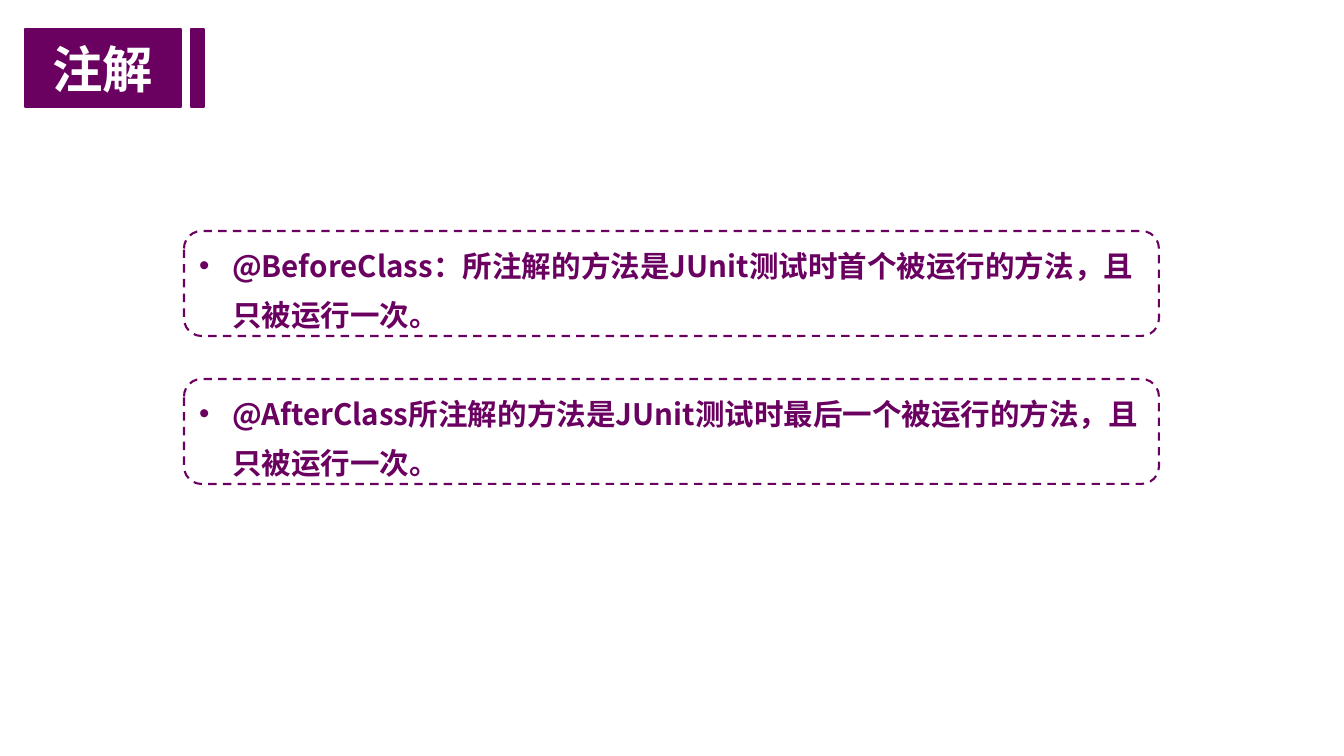
from lxml import etree
from pptx import Presentation
from pptx import util as u
from pptx.dml.color import RGBColor
from pptx.enum import dml, shapes, text
from pptx.oxml import ns

SCALE = 914400 / 100.8  # EMU per px
COLORS = {"purple": "6A0160", "white": "FFFFFF"}
CJK_FONT = "Noto Sans CJK SC"


def px(*lengths):
    return [u.Emu(round(length * SCALE)) for length in lengths]


def write(shape, content, *, size, font, color, align, insets, line_spacing=None, indent=None):
    frame = shape.text_frame
    frame.word_wrap = True
    frame.auto_size = text.MSO_AUTO_SIZE.NONE
    frame.vertical_anchor = text.MSO_ANCHOR.MIDDLE
    frame.margin_left, frame.margin_top, frame.margin_right, frame.margin_bottom = px(*insets)
    paragraph = frame.paragraphs[0]
    paragraph.alignment = align
    if line_spacing:
        paragraph.line_spacing = u.Pt(line_spacing)
    run = paragraph.add_run()
    run.text = content
    run.font.size = u.Pt(size)
    run.font.bold = True
    run.font.name = font
    run.font.color.rgb = RGBColor.from_string(COLORS[color])
    east_asian = etree.SubElement(run.font._element, ns.qn("a:ea"))
    east_asian.set("typeface", CJK_FONT)
    if indent:
        properties = paragraph._p.get_or_add_pPr()
        hanging = px(indent)[0]
        properties.set("marL", str(hanging))
        properties.set("indent", str(-hanging))
        etree.SubElement(properties, ns.qn("a:buFont")).set("typeface", "Arial")
        etree.SubElement(properties, ns.qn("a:buChar")).set("char", "•")


presentation = Presentation()
presentation.slide_width, presentation.slide_height = px(1344, 756)
slide = presentation.slides.add_slide(presentation.slide_layouts[5])
purple = RGBColor.from_string(COLORS["purple"])

# Title block with its accent bar
title = slide.shapes.title
title.left, title.top, title.width, title.height = px(25, 29, 156, 78)
bar = slide.shapes.add_shape(shapes.MSO_SHAPE.RECTANGLE, *px(191, 29, 13, 78))
bar.shadow.inherit = False
for block in (title, bar):
    block.fill.solid()
    block.fill.fore_color.rgb = purple
    block.line.color.rgb = purple
    block.line.width = u.Pt(1)
write(title, "注解", size=36, font="Arial", color="white",
      align=text.PP_ALIGN.CENTER, insets=(7, 4, 7, 4))

# Dashed boxes, one per annotation
annotations = [
    "@BeforeClass：所注解的方法是JUnit测试时首个被运行的方法，且只被运行一次。",
    "@AfterClass所注解的方法是JUnit测试时最后一个被运行的方法，且只被运行一次。",
]
for index, annotation in enumerate(annotations):
    box = slide.shapes.add_shape(shapes.MSO_SHAPE.ROUNDED_RECTANGLE,
                                 *px(184, 231 + 148 * index, 975, 105))
    box.shadow.inherit = False
    box.fill.background()
    box.line.color.rgb = purple
    box.line.width = u.Pt(1.5)
    box.line.dash_style = dml.MSO_LINE.DASH
    write(box, annotation, size=21.1, font=CJK_FONT, color="purple",
          align=text.PP_ALIGN.LEFT, insets=(10, 5, 10, 5), line_spacing=35.1, indent=33)

presentation.save("out.pptx")
